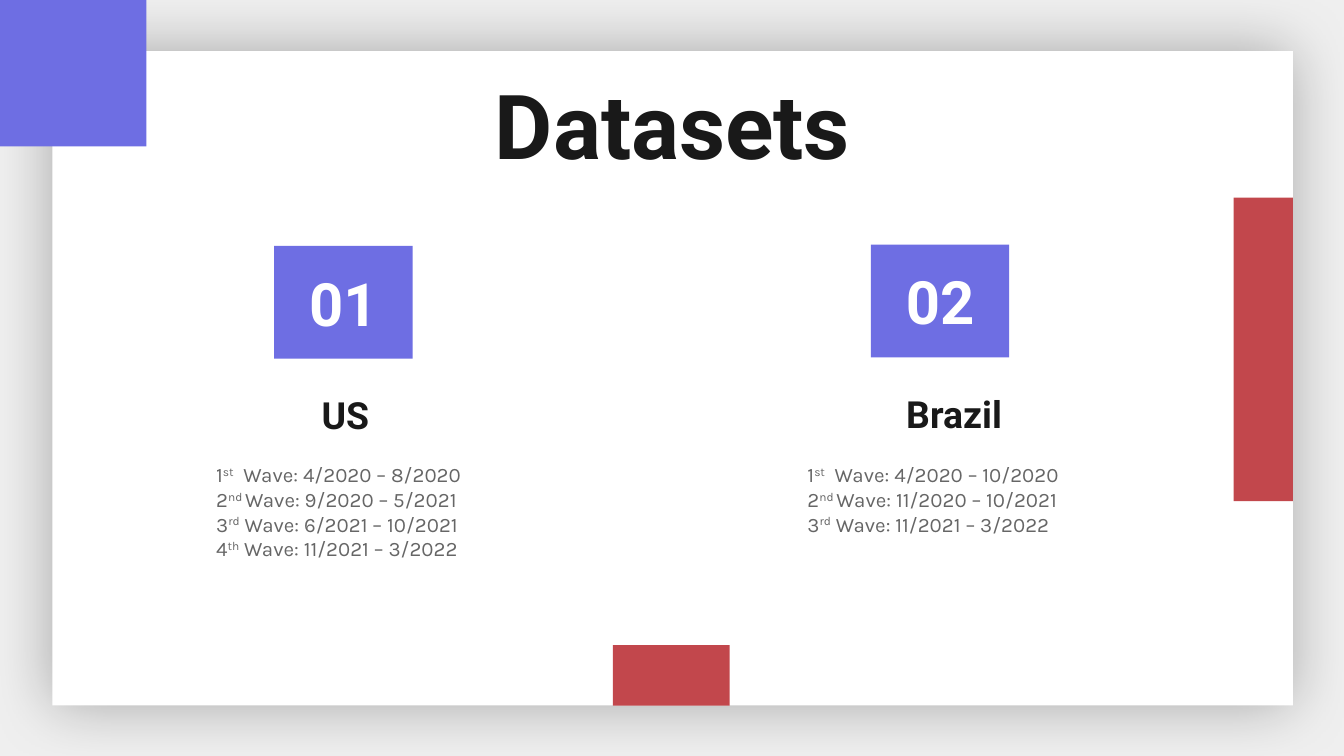
from lxml import etree
from pptx import Presentation
from pptx.dml.color import RGBColor
from pptx.enum.shapes import MSO_SHAPE as SHAPE
from pptx.enum.text import MSO_ANCHOR as ANCHOR, PP_ALIGN as ALIGN
from pptx.oxml.ns import qn
from pptx.util import Inches, Pt

COLORS = {
    "back": "EFEFEF",
    "white": "FFFFFF",
    "red": "C2474C",
    "violet": "6E6EE3",
    "ink": "191919",
    "gray": "666666",
    "shadow": "000000",
}

DATASETS = [
    {
        "number": "01", "badge": (2.04, 1.83),
        "country": "US", "heading": (1.19, 2.82),
        "list": (1.36, 3.34, 3.41, 1.2),
        "waves": [
            ("1", "st", "  Wave: 4/2020 – 8/2020"),
            ("2", "nd ", "Wave: 9/2020 – 5/2021"),
            ("3", "rd", " Wave: 6/2021 – 10/2021"),
            ("4", "th", " Wave: 11/2021 – 3/2022"),
        ],
    },
    {
        "number": "02", "badge": (6.48, 1.82),
        "country": "Brazil", "heading": (5.72, 2.81),
        "list": (5.76, 3.34, 2.67, 1.2),
        "waves": [
            ("1", "st", "  Wave: 4/2020 – 10/2020"),
            ("2", "nd ", "Wave: 11/2020 – 10/2021"),
            ("3", "rd", " Wave: 11/2021 – 3/2022"),
        ],
    },
]


def rgb(name):
    return RGBColor.from_string(COLORS[name])


def add_rect(s, box, color):
    sp = s.shapes.add_shape(SHAPE.RECTANGLE, *map(Inches, box))
    sp.shadow.inherit = False
    sp.fill.solid()
    sp.fill.fore_color.rgb = rgb(color)
    sp.line.fill.background()
    return sp


def add_glow(sp, blur, alpha):
    effects = sp._element.spPr.find(qn("a:effectLst"))
    shadow = etree.SubElement(effects, qn("a:outerShdw"), blurRad=str(Pt(blur)),
                              dist="0", dir="0", algn="ctr", rotWithShape="0")
    color = etree.SubElement(shadow, qn("a:srgbClr"), val=COLORS["shadow"])
    etree.SubElement(color, qn("a:alpha"), val=str(alpha * 1000))


def setup_frame(sp, anchor=ANCHOR.TOP):
    tf = sp.text_frame
    tf.word_wrap = True
    tf.vertical_anchor = anchor
    tf.margin_left = tf.margin_right = tf.margin_top = tf.margin_bottom = Inches(0.1)
    return tf


def add_run(p, text, size, color, font="Roboto", bold=False, baseline=0):
    r = p.add_run()
    r.text = text
    r.font.name = font
    r.font.size = Pt(size)
    r.font.bold = bold
    r.font.color.rgb = rgb(color)
    if baseline:
        r.font._element.set("baseline", str(baseline * 1000))


def add_centered(sp, text, size, color, anchor=ANCHOR.TOP):
    p = setup_frame(sp, anchor).paragraphs[0]
    p.alignment = ALIGN.CENTER
    add_run(p, text, size, color, bold=True)


def add_textbox(s, box):
    return s.shapes.add_textbox(*map(Inches, box))


def add_waves(s, box, waves):
    tf = setup_frame(add_textbox(s, box))
    for i, (number, suffix, rest) in enumerate(waves):
        p = tf.add_paragraph() if i else tf.paragraphs[0]
        pPr = p._p.get_or_add_pPr()
        pPr.set("marL", str(Inches(0.5)))
        pPr.set("indent", str(Inches(-0.35)))
        for text, baseline in ((number, 0), (suffix, 30), (rest, 0)):
            add_run(p, text, 11, "gray", font="Karla", baseline=baseline)


def add_dataset(s, data):
    badge = add_rect(s, (*data["badge"], 1.03, 0.84), "violet")
    add_centered(badge, data["number"], 32, "white", ANCHOR.MIDDLE)
    heading = add_textbox(s, (*data["heading"], 2.76, 0.67))
    add_centered(heading, data["country"], 20, "ink")
    add_waves(s, data["list"], data["waves"])


def main():
    """Build the Datasets slide and save it."""
    prs = Presentation()
    prs.slide_width = Inches(10)
    prs.slide_height = prs.slide_width * 9 // 16
    s = prs.slides.add_slide(prs.slide_layouts[6])
    s.background.fill.solid()
    s.background.fill.fore_color.rgb = rgb("back")

    panel = add_rect(s, (0.39, 0.38, 9.23, 4.87), "white")
    add_glow(panel, blur=33.8, alpha=30)
    add_rect(s, (9.18, 1.47, 0.44, 2.26), "red")
    add_rect(s, (4.56, 4.8, 0.87, 0.45), "red")
    add_rect(s, (0, 0, 1.09, 1.09), "violet")

    add_centered(add_textbox(s, (0.79, 0.42, 8.43, 1.15)), "Datasets", 48, "ink")
    for data in DATASETS:
        add_dataset(s, data)
    prs.save("out.pptx")


if __name__ == "__main__":
    main()
